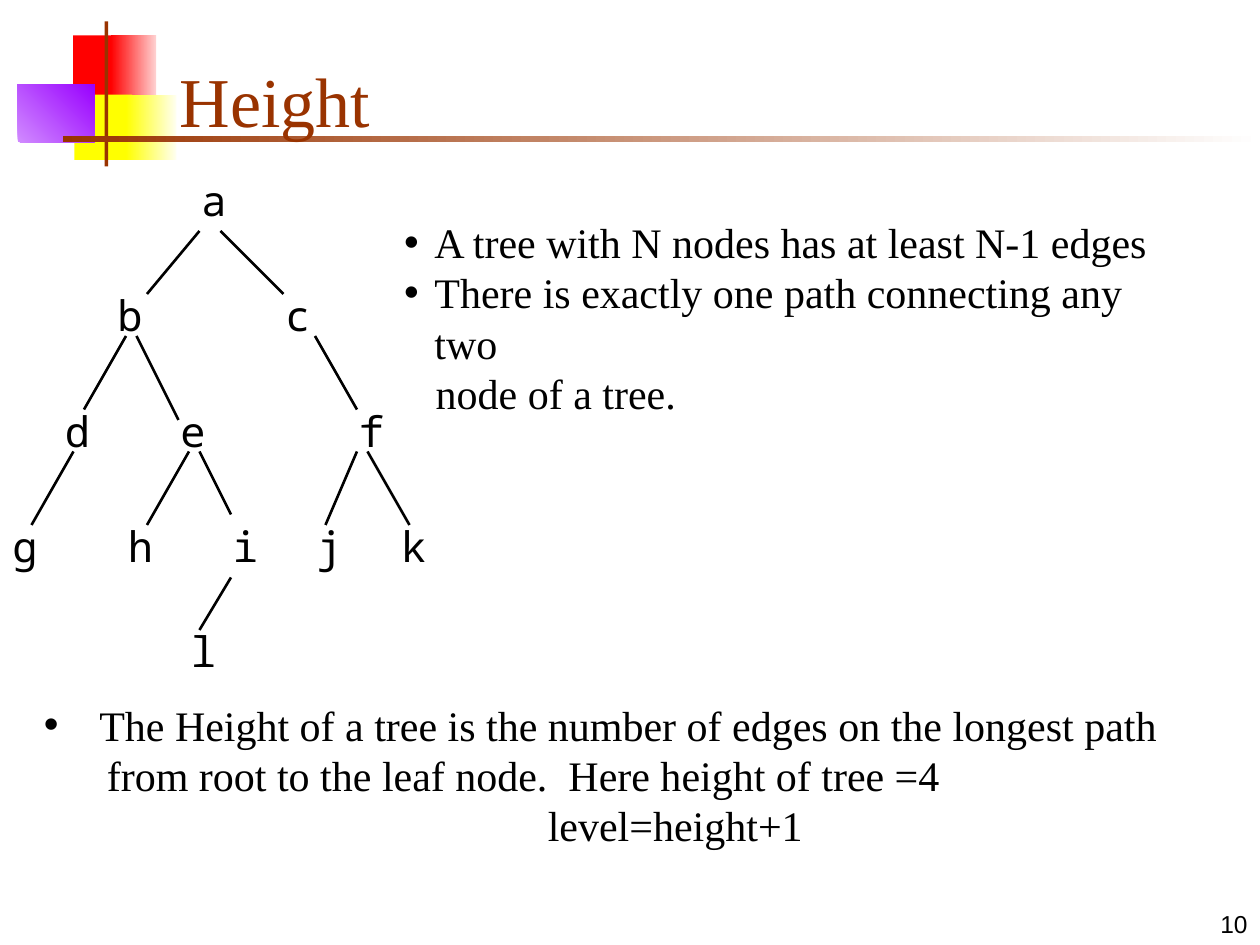
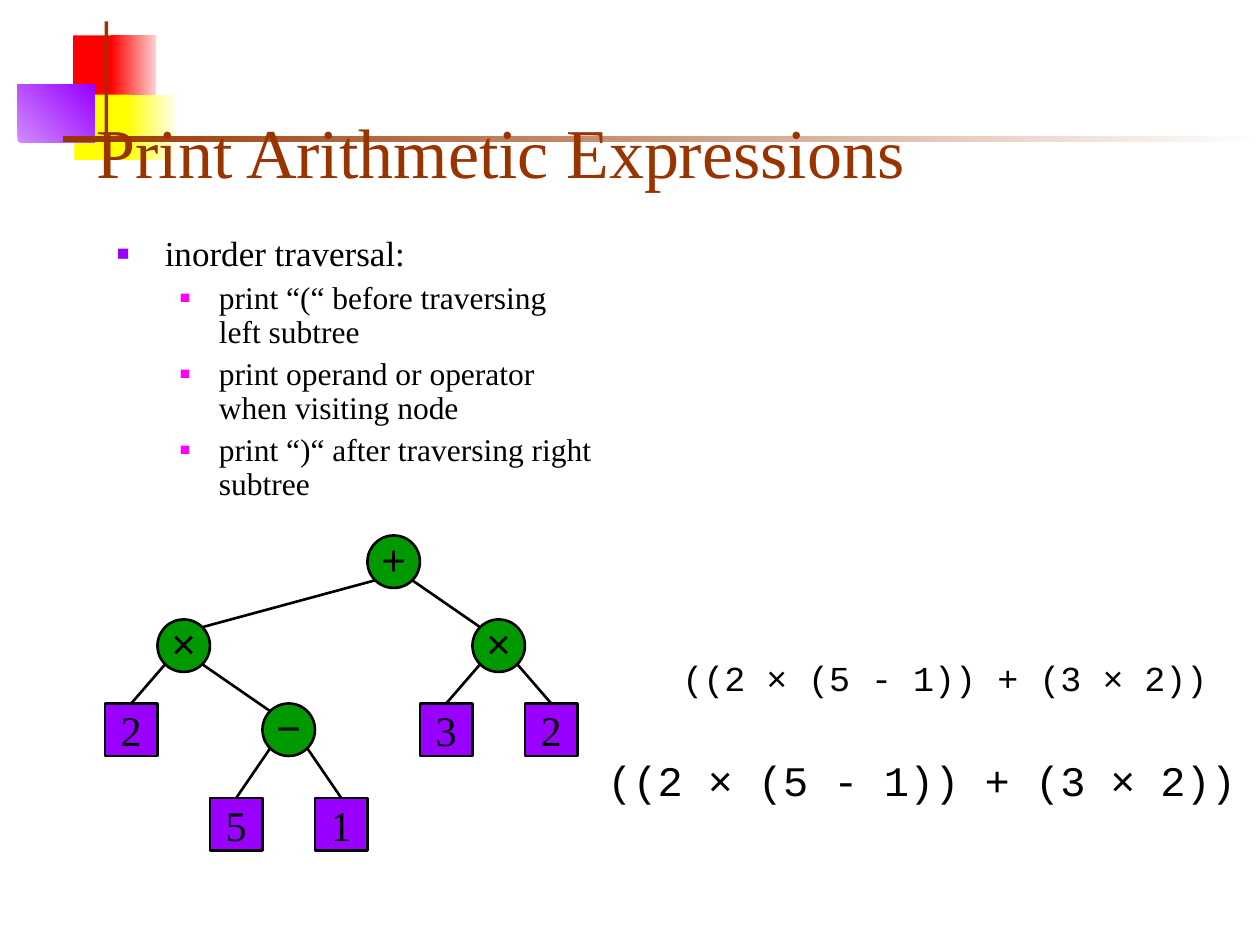
import itertools

import pptx
import pptx.dml.color
import pptx.enum.shapes
import pptx.enum.text
import pptx.oxml.ns
import pptx.util
from lxml import etree

Inches = pptx.util.Inches
Pt = pptx.util.Pt
SHAPE = pptx.enum.shapes.MSO_SHAPE
LINE = pptx.enum.shapes.MSO_CONNECTOR.STRAIGHT
ALIGN = pptx.enum.text.PP_ALIGN
ANCHOR = pptx.enum.text.MSO_ANCHOR
qn = pptx.oxml.ns.qn

BLACK, BROWN, PURPLE, GREEN = "000000", "993300", "9900FF", "009900"
SERIF, SANS, MONO, COURIER = "Times New Roman", "Arial", "Noto Sans Mono", "Courier New"
UNIT = 1 / 12


def rgb(hex_color):
    return pptx.dml.color.RGBColor.from_string(hex_color)


def write(tf, text, size=24, font=SERIF, color=BLACK, align=None, before=None, spacing=None,
          margin=0, hang=0, bullet=None, bullet_color=BLACK, bullet_size=100, symbol_font=SANS):
    p = tf.add_paragraph() if tf.text else tf.paragraphs[0]
    p.alignment = align
    if before:
        p.space_before = Pt(before)
    if spacing:
        p.line_spacing = spacing
    pPr = p._p.get_or_add_pPr()
    pPr.set("marL", str(Inches(margin)))
    pPr.set("indent", str(Inches(-hang)))
    if bullet:
        buClr = etree.SubElement(pPr, qn("a:buClr"))
        etree.SubElement(buClr, qn("a:srgbClr"), val=bullet_color)
        etree.SubElement(pPr, qn("a:buSzPct"), val=str(bullet_size * 1000))
        etree.SubElement(pPr, qn("a:buFont"), typeface=SANS)
        etree.SubElement(pPr, qn("a:buChar"), char=bullet)
    for is_symbol, chars in itertools.groupby(text, lambda c: c == "×"):
        r = p.add_run()
        r.text = "".join(chars)
        r.font.size = Pt(size)
        r.font.name = symbol_font if is_symbol else font
        r.font.color.rgb = rgb(color)


prs = pptx.Presentation()
prs.slide_width, prs.slide_height = Inches(10), Inches(7.5)

marks = [
    ((0.58, 0.28, 0.35, 0.52), ["FF0000"], 0),
    ((0.88, 0.28, 0.36, 0.52), ["FF0000", "FFD1D1"], 0),
    ((0.59, 0.75, 0.46, 0.52), ["FFFF00"], 0),
    ((1, 0.75, 0.4, 0.52), ["FFFF00", "FFFFF0"], 0),
    ((0.14, 0.67, 0.61, 0.46), ["D18BFF", PURPLE], 45),
    ((0.83, 0.17, 0.03, 1.15), [BROWN], 0),
    ((0.5, 1.08, 9.5, 0.05), [BROWN, "FFFFFF"], 0),
]
titles = [
    ("Height", (1.33, 0.25, 8.52, 0.92)),
    ("Print Arithmetic Expressions", (0.67, 0.33, 8.83, 1.25)),
]
for title, title_box in titles:
    s = prs.slides.add_slide(prs.slide_layouts[6])
    for box, colors, angle in marks:
        sp = s.shapes.add_shape(SHAPE.RECTANGLE, *map(Inches, box))
        sp.shadow.inherit = False
        sp.line.fill.background()
        if len(colors) == 1:
            sp.fill.solid()
            sp.fill.fore_color.rgb = rgb(colors[0])
        else:
            sp.fill.gradient()
            sp.fill.gradient_angle = angle
            for stop, color in zip(sp.fill.gradient_stops, colors):
                stop.color.rgb = rgb(color)
    tf = s.shapes.add_textbox(*map(Inches, title_box)).text_frame
    tf.word_wrap = True
    tf.vertical_anchor = ANCHOR.BOTTOM
    write(tf, title, size=40, color=BROWN)

height_slide, print_slide = prs.slides

s = height_slide
tf = s.shapes.add_textbox(*map(Inches, (7.92, 7, 2.08, 0.5))).text_frame
tf.word_wrap = True
tf.vertical_anchor = ANCHOR.BOTTOM
write(tf, "10", size=14, font=SANS, align=ALIGN.RIGHT)

letters = [
    ("a", 18, 16), ("b", 10, 27), ("c", 26, 27), ("d", 5, 38), ("e", 16, 38), ("f", 33, 38),
    ("g", 0, 49), ("h", 11, 49), ("i", 21, 49), ("j", 29, 49), ("k", 37, 49), ("l", 17, 59),
]
for letter, x, y in letters:
    tf = s.shapes.add_textbox(*[Inches(n * UNIT) for n in (x, y, 5, 6)]).text_frame
    tf.word_wrap = True
    write(tf, letter, font=MONO)

edges = [
    (19, 22, 14, 28), (21, 22, 27, 28), (12, 32, 8, 39), (13, 32, 17, 40),
    (30, 32, 34, 39), (7, 43, 3, 50), (18, 43, 14, 50), (19, 43, 22, 49),
    (22, 55, 19, 60), (34, 43, 31, 50), (35, 43, 39, 50),
]
lines = [(height_slide, [n * UNIT for n in edge]) for edge in edges]

tf = s.shapes.add_textbox(*map(Inches, (0.25, 5.5, 9.97, 1.7))).text_frame
tf.word_wrap = True
write(tf, "The Height of a tree is the number of edges on the longest path",
      margin=0.44, hang=0.44, bullet="•")
write(tf, "from root to the leaf node.  Here height of tree =4", margin=0.5)
write(tf, "level=height+1", margin=0.25, align=ALIGN.CENTER)

tf = s.shapes.add_textbox(*map(Inches, (3.11, 1.67, 6.36, 1.3))).text_frame
tf.word_wrap = True
for text in ("A tree with N nodes has at least N-1 edges",
             "There is exactly one path connecting any two"):
    write(tf, text, margin=0.24, hang=0.24, bullet="•")
write(tf, "node of a tree.", margin=0.25)

s = print_slide
tf = s.shapes.add_textbox(*map(Inches, (0.83, 1.83, 4, 2.33))).text_frame
tf.word_wrap = True
write(tf, "inorder traversal:", size=20, spacing=0.9, margin=0.38, hang=0.38,
      bullet="■", bullet_color=PURPLE, bullet_size=60)
for text in ("print “(“ before traversing left subtree",
             "print operand or operator when visiting node",
             "print “)“ after traversing right subtree"):
    write(tf, text, size=18, spacing=0.9, before=4.5, margin=0.81, hang=0.31,
          bullet="■", bullet_color="FF00FF", bullet_size=55)

nodes = [
    ("+", 35, 51, None), ("×", 45, 59, 0), ("×", 15, 59, 0), ("−", 25, 67, 2), ("2", 10, 67, 2),
    ("5", 20, 76, 3), ("1", 30, 76, 3), ("3", 40, 67, 1), ("2", 50, 67, 1),
]
NODE = 5 * UNIT
DIAGONAL = NODE / 2 * 0.5 ** 0.5
for label, x, y, parent in nodes:
    is_operator = not label.isdigit()
    sp = s.shapes.add_shape(SHAPE.OVAL if is_operator else SHAPE.RECTANGLE,
                            *map(Inches, (x * UNIT, y * UNIT, NODE, NODE)))
    sp.shadow.inherit = False
    sp.fill.solid()
    sp.fill.fore_color.rgb = rgb(GREEN if is_operator else PURPLE)
    sp.line.color.rgb = rgb(BLACK)
    sp.line.width = Pt(1.5)
    tf = sp.text_frame
    tf.word_wrap = False
    tf.vertical_anchor = ANCHOR.MIDDLE
    if is_operator:
        tf.margin_left = tf.margin_right = tf.margin_top = 0
    write(tf, label, font=SANS if is_operator else SERIF, align=ALIGN.CENTER)
    if parent is not None:
        px, py = nodes[parent][1:3]
        side = 1 if x > px else -1
        start_x = px * UNIT + NODE / 2 + side * DIAGONAL
        start_y = py * UNIT + NODE / 2 + DIAGONAL
        end_x, end_y = x * UNIT + NODE / 2, y * UNIT
        if is_operator:
            end_x -= side * DIAGONAL
            end_y += NODE / 2 - DIAGONAL
        lines.append((s, (start_x, start_y, end_x, end_y)))

for s, ends in lines:
    cx = s.shapes.add_connector(LINE, *map(Inches, ends))
    cx.line.color.rgb = rgb(BLACK)
    cx.line.width = Pt(1.5)
    etree.SubElement(cx._element.spPr, qn("a:effectLst"))

for box, size, wrap in (((4.65, 5.94, 5.33, 0.5), 24, False), ((5, 5.16, 5, 0.44), 20, True)):
    tf = print_slide.shapes.add_textbox(*map(Inches, box)).text_frame
    tf.word_wrap = wrap
    write(tf, "((2 × (5 - 1)) + (3 × 2))", size=size, font=COURIER, align=ALIGN.CENTER)

prs.save("out.pptx")
